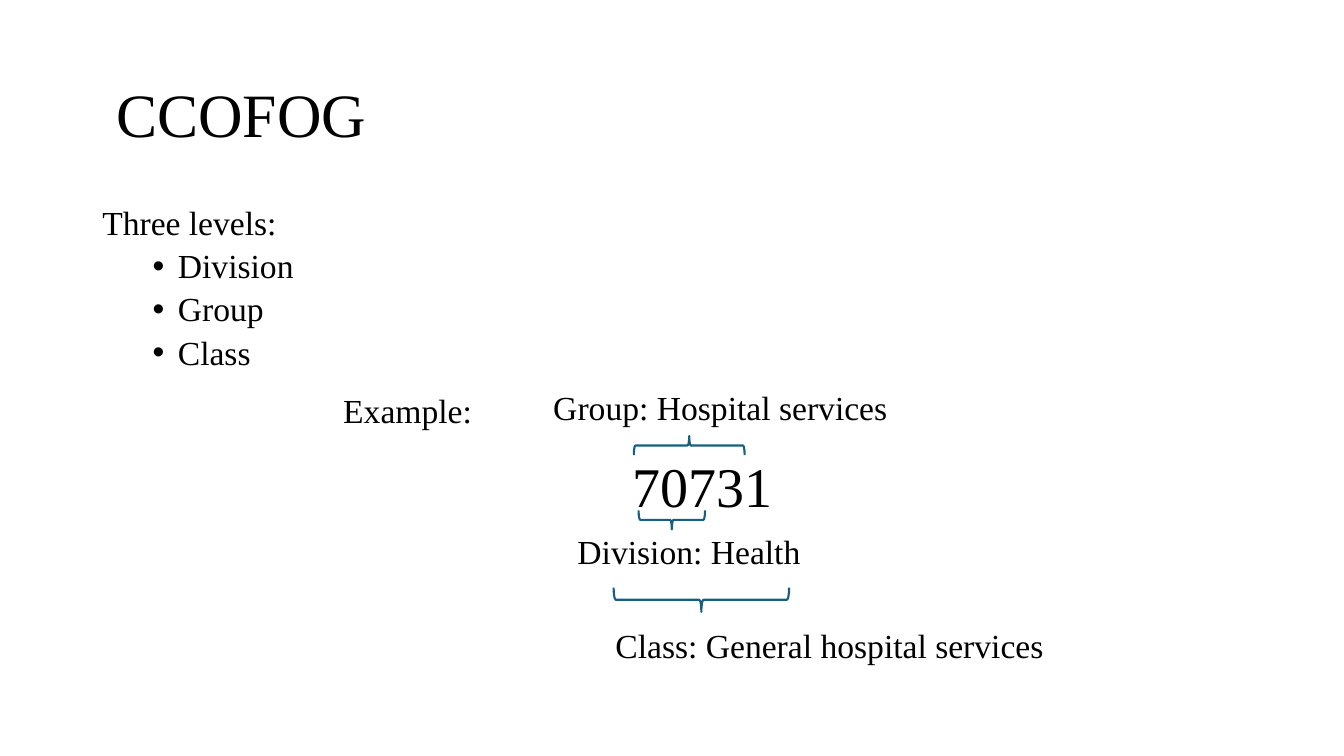
"""Build the CCOFOG slide showing the three levels of a classification code."""
from lxml.etree import SubElement
from pptx import Presentation
from pptx.dml.color import RGBColor
from pptx.enum.shapes import MSO_SHAPE as Preset
from pptx.enum.text import MSO_ANCHOR as Anchor
from pptx.oxml.ns import qn
from pptx.util import Pt

BLACK = RGBColor(0x00, 0x00, 0x00)
TEAL = RGBColor(0x15, 0x60, 0x82)
FONT = "Times New Roman"
BODY_SIZE = 24

TITLE = "CCOFOG"
LEVELS_HEADING = "Three levels:"
LEVELS = ["Division", "Group", "Class"]

LABELS = [
    ("70731", (445, 319, 168, 55.4), 40),
    ("Division: Health", (405.4, 375.8, 316, 36), BODY_SIZE),
    ("Group: Hospital services", (388.1, 272.9, 281.5, 36), BODY_SIZE),
    ("Class: General hospital services", (432.5, 442.8, 345, 36), BODY_SIZE),
    ("Example:", (238.1, 275, 115.2, 36), BODY_SIZE),
]

DIVISION_BRACE = (473, 347.6, 13.7, 47.5), 90
GROUP_BRACE = (485.5, 278.6, 13.7, 79.2), 270
CLASS_BRACE = (492.3, 365.8, 17.3, 125.3), 90


def write_paragraph(paragraph, text, size=BODY_SIZE, line_spacing=None,
                    space_before=0, bullet=False):
    run = paragraph.add_run()
    run.text = text
    run.font.name = FONT
    run.font.size = Pt(size)
    run.font.color.rgb = BLACK
    paragraph.space_before = Pt(space_before)
    if line_spacing:
        paragraph.line_spacing = line_spacing
    if bullet:
        paragraph.level = 1
        properties = paragraph._p.get_or_add_pPr()
        properties.set("marL", str(Pt(54)))
        properties.set("indent", str(Pt(-18)))
        SubElement(properties, qn("a:buFont")).set("typeface", "Arial")
        SubElement(properties, qn("a:buChar")).set("char", "•")


def add_frame(slide, box, anchor=Anchor.TOP):
    frame = slide.shapes.add_textbox(*map(Pt, box)).text_frame
    frame.word_wrap = True
    frame.vertical_anchor = anchor
    return frame


def add_brace(slide, box, rotation):
    shape = slide.shapes.add_shape(Preset.RIGHT_BRACE, *map(Pt, box))
    shape.rotation = rotation
    shape.shadow.inherit = False
    shape.fill.background()
    shape.line.color.rgb = TEAL
    shape.line.width = Pt(1.5)


def main():
    presentation = Presentation()
    presentation.slide_width, presentation.slide_height = Pt(960), Pt(540)
    slide = presentation.slides.add_slide(presentation.slide_layouts[6])

    title = add_frame(slide, (76, 31.7, 828, 104.4), Anchor.MIDDLE)
    write_paragraph(title.paragraphs[0], TITLE, size=44, line_spacing=0.9)

    body = add_frame(slide, (66, 143.8, 828, 125.3))
    write_paragraph(body.paragraphs[0], LEVELS_HEADING, line_spacing=0.9,
                    space_before=10)
    for level in LEVELS:
        write_paragraph(body.add_paragraph(), level, line_spacing=0.9,
                        space_before=5, bullet=True)

    for text, box, size in LABELS:
        write_paragraph(add_frame(slide, box).paragraphs[0], text, size=size)
    for box, rotation in (DIVISION_BRACE, GROUP_BRACE, CLASS_BRACE):
        add_brace(slide, box, rotation)

    presentation.save("out.pptx")


if __name__ == "__main__":
    main()
